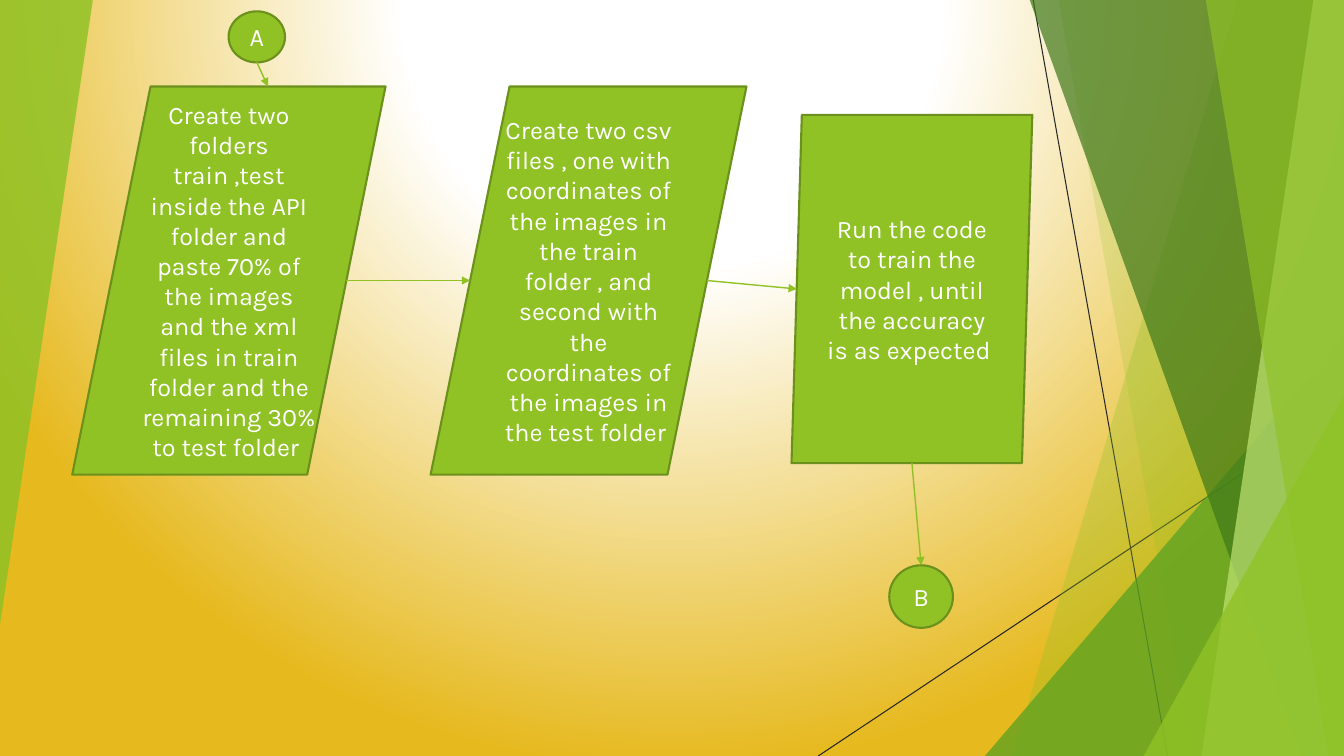
"""Build the flowchart slide on model training, from connector A to connector B."""
from lxml.etree import SubElement
from pptx import Presentation
from pptx.dml.color import RGBColor
from pptx.enum.shapes import MSO_CONNECTOR, MSO_SHAPE as SHAPE
from pptx.enum.text import MSO_ANCHOR, PP_ALIGN
from pptx.oxml import parse_xml
from pptx.oxml.ns import nsdecls, qn
from pptx.util import Pt

GREEN, EDGE, WHITE, GOLD, INK = "90C226", "6B901C", "FFFFFF", "E6B91E", "262626"
WIDTH, HEIGHT = 960, 540


def paint(shape, fill, opacity=100, edge=None):
    shape.shadow.inherit = False
    shape.fill.solid()
    shape.fill.fore_color.rgb = RGBColor.from_string(fill)
    if opacity < 100:
        color = shape.fill._xPr.find(qn("a:solidFill"))[0]
        SubElement(color, qn("a:alpha"), val=str(opacity * 1000))
    if edge:
        shape.line.color.rgb = RGBColor.from_string(edge)
        shape.line.width = Pt(1.5)
    else:
        shape.line.fill.background()


def draw_line(page, ends, color, width, arrow=False):
    line = page.shapes.add_connector(MSO_CONNECTOR.STRAIGHT, *map(Pt, ends))
    line.line.color.rgb = RGBColor.from_string(color)
    line.line.width = Pt(width)
    if arrow:
        SubElement(line.line._get_or_add_ln(), qn("a:tailEnd"), type="triangle")
    SubElement(line._element.spPr, qn("a:effectLst"))


deck = Presentation()
deck.slide_width, deck.slide_height = Pt(WIDTH), Pt(HEIGHT)
page = deck.slides.add_slide(deck.slide_layouts[6])

stops = "".join(
    f'<a:gs pos="{place * 1000}"><a:srgbClr val="{color}"/></a:gs>'
    for place, color in [(0, WHITE), (35, WHITE), (100, GOLD)]
)
background = parse_xml(
    f'<p:bg {nsdecls("p", "a")}><p:bgPr><a:gradFill rotWithShape="1"><a:gsLst>{stops}</a:gsLst>'
    '<a:path path="circle"><a:fillToRect l="50000" t="-80000" r="50000" b="180000"/></a:path>'
    "</a:gradFill><a:effectLst/></p:bgPr></p:bg>"
)
page.element.find(qn("p:cSld")).insert(0, background)

for ends in [(738, 0, 834, HEIGHT), (WIDTH, 290, 584.5, HEIGHT)]:
    draw_line(page, ends, INK, 0.75)

# Bands give top-left and bottom-left x; triangles give left, top, width, height, rotation.
facets = [
    ("band", (884.2, 723.2), GREEN, 30),
    ("band", (756, 852), GREEN, 20),
    ("triangle", (703.5, 240, 256.5, 300, 0), "54A021", 72),
    ("band", (735.3, 929.3), "3F7819", 70),
    ("band", (938.2, 858.2), "C0E474", 70),
    ("band", (861.2, 949), GREEN, 65),
    ("triangle", (816.8, 282.7, 143.2, 257.3, 0), GREEN, 80),
    ("triangle", (0, 0, 66.3, 446.2, 180), GREEN, 85),
]
for kind, numbers, color, opacity in facets:
    if kind == "band":
        upper, lower = numbers
        outline = page.shapes.build_freeform(Pt(upper), Pt(-0.6))
        corners = [(WIDTH, -0.6), (WIDTH, HEIGHT), (lower, HEIGHT)]
        outline.add_line_segments([(Pt(x), Pt(y)) for x, y in corners])
        facet = outline.convert_to_shape()
    else:
        *frame, turn = numbers
        facet = page.shapes.add_shape(SHAPE.ISOSCELES_TRIANGLE, *map(Pt, frame))
        facet.adjustments[0] = 1
        facet.rotation = turn
    paint(facet, color, opacity)

steps = [
    (SHAPE.PARALLELOGRAM, (51.6, 61.8, 223.8, 277.2), 0.25,
     "Create two folders train ,test inside the API folder and paste 70% of the images "
     "and the xml files in train folder and the remaining 30% to test folder "),
    (SHAPE.OVAL, (163.3, 8.1, 40.3, 36.5), None, "A"),
    (SHAPE.PARALLELOGRAM, (307.6, 61.8, 225.6, 277.2), 0.25,
     "Create two csv files , one with coordinates of the images in the train folder , "
     "and second with the coordinates of the images in the test folder "),
    (SHAPE.PARALLELOGRAM, (565.4, 82, 172, 248.8), 0.043,
     "Run the code to train the model , until the accuracy is as expected "),
    (SHAPE.OVAL, (635.2, 403.8, 45.5, 44.7), None, "B"),
]
for kind, frame, slant, words in steps:
    box = page.shapes.add_shape(kind, *map(Pt, frame))
    if slant:
        box.adjustments[0] = slant
    paint(box, GREEN, edge=EDGE)
    box.text_frame.word_wrap = True
    box.text_frame.vertical_anchor = MSO_ANCHOR.MIDDLE
    para = box.text_frame.paragraphs[0]
    para.alignment = PP_ALIGN.CENTER
    span = para.add_run()
    span.text = words
    span.font.name, span.font.size = "Karla", Pt(18)
    span.font.color.rgb = RGBColor.from_string(WHITE)

arrows = [
    (183.5, 44.6, 191.4, 61.8),
    (247.4, 200.4, 335.8, 200.4),
    (505, 200.4, 569.2, 206.4),
    (651.4, 330.8, 658, 403.8),
]
for ends in arrows:
    draw_line(page, ends, GREEN, 1, arrow=True)

deck.save("out.pptx")
